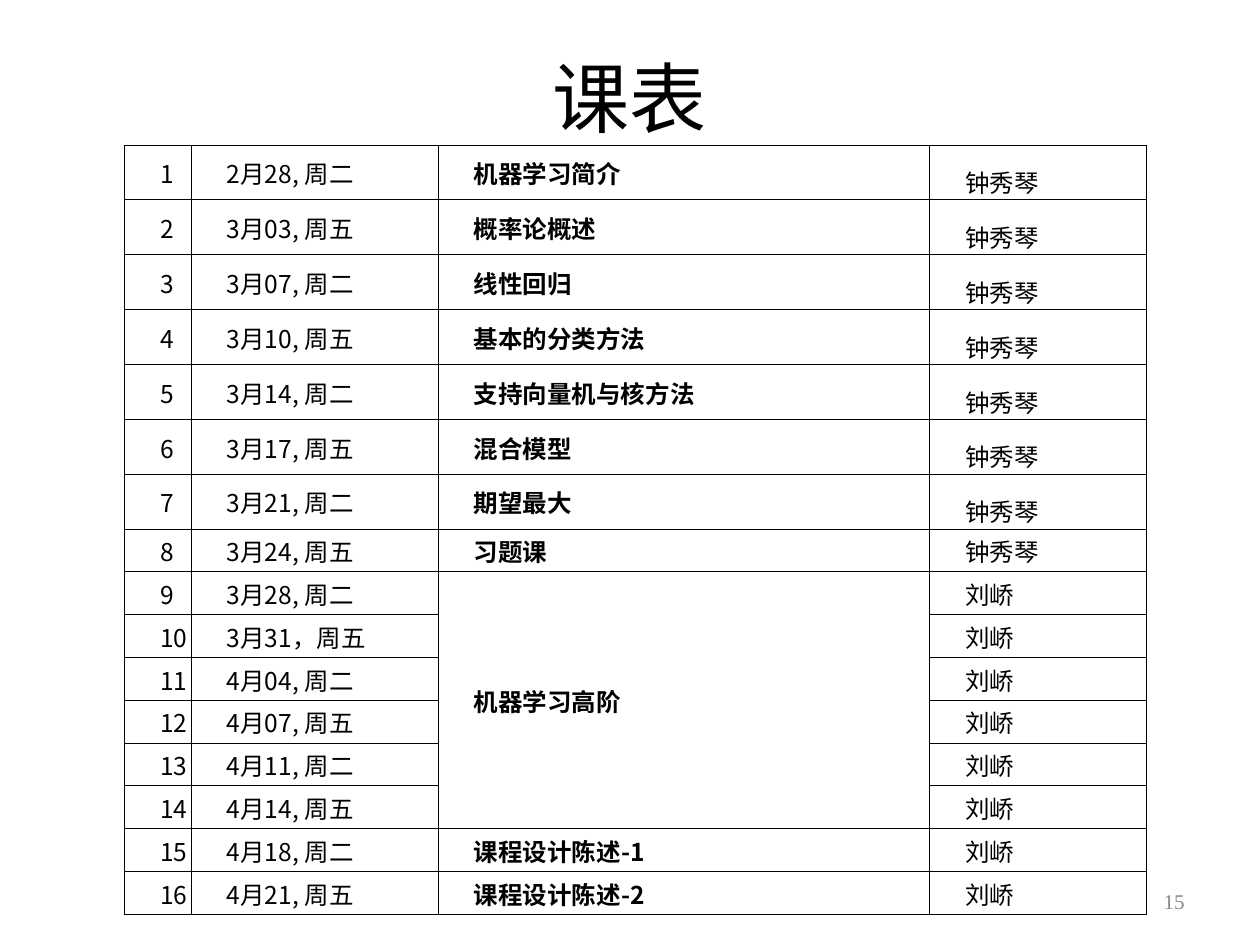
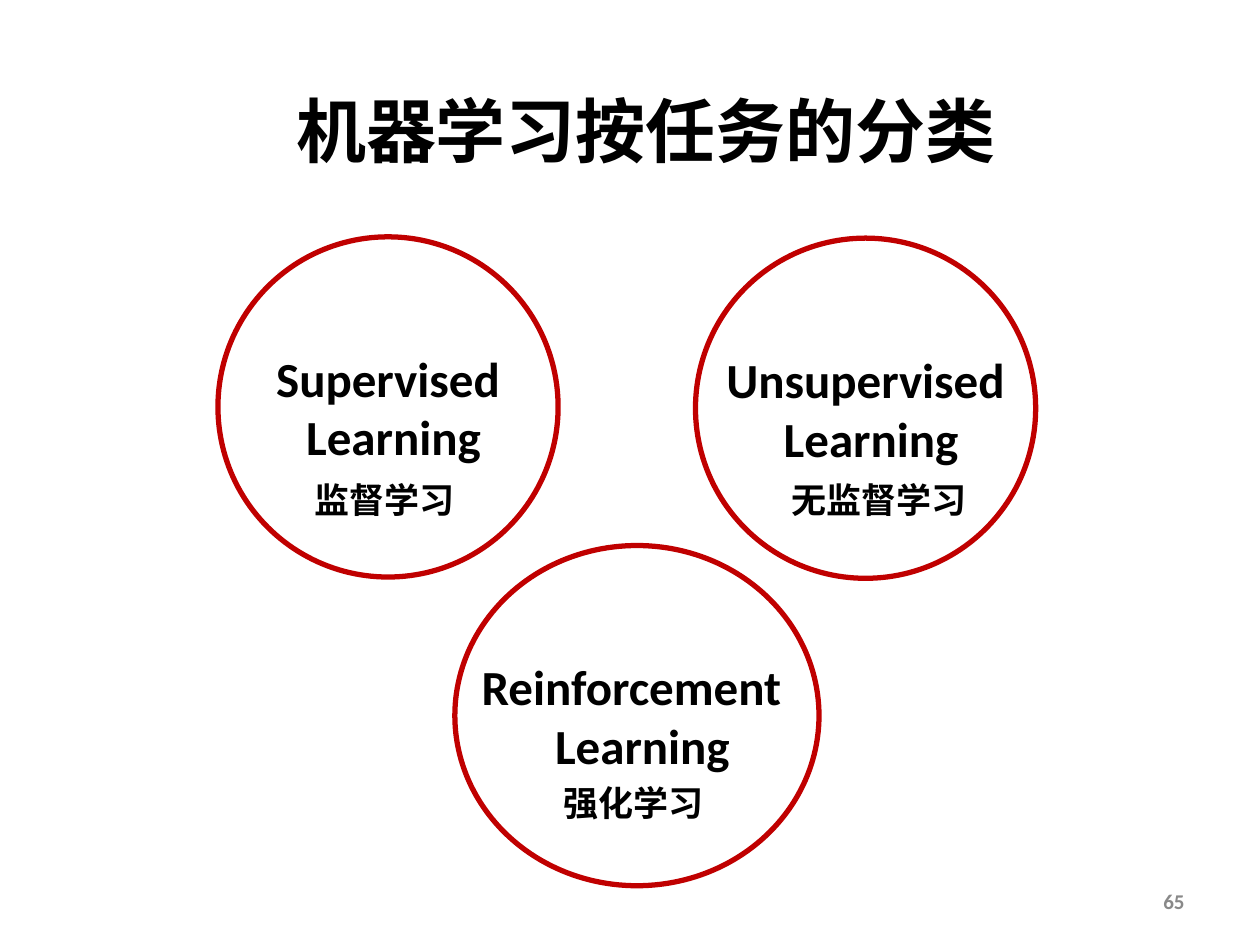
import pptx
import pptx.util
import pptx.dml.color
import pptx.enum.shapes
import pptx.enum.text
import pptx.oxml
import pptx.oxml.ns

Inches = pptx.util.Inches
Pt = pptx.util.Pt
ALIGN = pptx.enum.text.PP_ALIGN
MIDDLE = pptx.enum.text.MSO_ANCHOR.MIDDLE
COLOURS = {"text": "000000", "number": "898989", "ring": "C00000", "grid": "000000"}
CJK = "Noto Sans CJK SC"

SCHEDULE = [
    ("2月28, 周二", "机器学习简介"),
    ("3月03, 周五", "概率论概述"),
    ("3月07, 周二", "线性回归"),
    ("3月10, 周五", "基本的分类方法"),
    ("3月14, 周二", "支持向量机与核方法"),
    ("3月17, 周五", "混合模型"),
    ("3月21, 周二", "期望最大"),
    ("3月24, 周五", "习题课"),
    ("3月28, 周二", "机器学习高阶"),
    ("3月31，周五", None),
    ("4月04, 周二", None),
    ("4月07, 周五", None),
    ("4月11, 周二", None),
    ("4月14, 周五", None),
    ("4月18, 周二", "课程设计陈述-1"),
    ("4月21, 周五", "课程设计陈述-2"),
]
FIRST_LECTURER_CLASSES = 8
ADVANCED_ROWS = (8, 13)
TALL_ROWS = 7
TALL_ROW_HEIGHT = 3.05 / TALL_ROWS
ROW_HEIGHT = 0.34

TASKS = [
    ("Supervised\n Learning", (1.73, 1.88, 2.7, 2.7), "监督学习", (2.4, 3.75, 1.34, 0.44)),
    ("Unsupervised\n Learning", (5.52, 1.89, 2.7, 2.7), "无监督学习", (6.18, 3.75, 1.65, 0.44)),
    ("Reinforcement \n Learning", (3.61, 4.33, 2.89, 2.7), "强化学习", (4.37, 6.15, 1.42, 0.44)),
]


def rgb(name):
    return pptx.dml.color.RGBColor.from_string(COLOURS[name])


def write(frame, text, size=14, font="Calibri", bold=False, colour="text",
          align=ALIGN.LEFT, spacing=None):
    for index, line in enumerate(text.split("\n")):
        paragraph = frame.paragraphs[0] if index == 0 else frame.add_paragraph()
        paragraph.alignment = align
        if spacing:
            paragraph.line_spacing = spacing
        run = paragraph.add_run()
        run.text = line
        run.font.size = Pt(size)
        run.font.bold = bold
        run.font.color.rgb = rgb(colour)
        run.font.name = font
        run.font._element.append(pptx.oxml.parse_xml(
            f'<a:ea {pptx.oxml.ns.nsdecls("a")} typeface="{CJK}"/>'))


class Deck:
    def __init__(self):
        self.presentation = pptx.Presentation()
        self.presentation.slide_width = Inches(10)
        self.presentation.slide_height = Inches(7.5)
        self.slide = None

    def new_slide(self, title, box, size, number, number_font, bold=False):
        self.slide = self.presentation.slides.add_slide(self.presentation.slide_layouts[5])
        heading = self.slide.shapes.title
        heading.left, heading.top, heading.width, heading.height = map(Inches, box)
        heading.text_frame.vertical_anchor = MIDDLE
        write(heading.text_frame, title, size=size, bold=bold, align=ALIGN.CENTER)
        self.label(number, (7.17, 6.95, 2.33, 0.4), anchor=MIDDLE, size=12,
                   font=number_font, bold=bold, colour="number", align=ALIGN.RIGHT)

    def label(self, text, box, anchor=pptx.enum.text.MSO_ANCHOR.TOP, **style):
        frame = self.slide.shapes.add_textbox(*map(Inches, box)).text_frame
        frame.word_wrap = True
        frame.vertical_anchor = anchor
        write(frame, text, **style)

    def ring(self, text, box):
        circle = self.slide.shapes.add_shape(
            pptx.enum.shapes.MSO_SHAPE.OVAL, *map(Inches, box))
        circle.shadow.inherit = False
        circle.fill.background()
        circle.line.color.rgb = rgb("ring")
        circle.line.width = Pt(3)
        circle.text_frame.word_wrap = False
        circle.text_frame.vertical_anchor = MIDDLE
        write(circle.text_frame, text, size=28, bold=True, align=ALIGN.CENTER)

    def table(self, rows, left, top, widths, heights):
        grid = self.slide.shapes.add_table(
            len(rows), len(widths), Inches(left), Inches(top),
            Inches(sum(widths)), Inches(sum(heights))).table
        grid.first_row = grid.horz_banding = False
        for column, width in zip(grid.columns, widths):
            column.width = Inches(width)
        for row_index, row in enumerate(rows):
            grid.rows[row_index].height = Inches(heights[row_index])
            for column_index, (text, style) in enumerate(row):
                self.cell(grid.cell(row_index, column_index), text, style)
        return grid

    def cell(self, cell, text, style):
        cell.margin_left = Inches(0.28)
        cell.margin_top = cell.margin_right = Inches(0.01)
        cell.margin_bottom = 0
        cell.vertical_anchor = MIDDLE
        cell.fill.background()
        properties = cell._tc.get_or_add_tcPr()
        for index, side in enumerate("LRTB"):
            properties.insert(index, pptx.oxml.parse_xml(
                f'<a:ln{side} {pptx.oxml.ns.nsdecls("a")} w="{Pt(0.5)}"><a:solidFill>'
                f'<a:srgbClr val="{COLOURS["grid"]}"/></a:solidFill></a:ln{side}>'))
        if text:
            write(cell.text_frame, text, font=CJK, **style)


def build_schedule(deck):
    deck.new_slide("课表", (0.5, 0.14, 9, 1.25), 44, "15", "Times New Roman")
    rows = []
    for index, (date, topic) in enumerate(SCHEDULE):
        lecturer = "钟秀琴" if index < FIRST_LECTURER_CLASSES else "刘峤"
        spacing = 1.5 if index < TALL_ROWS else None
        rows.append([(str(index + 1), {}), (date, {}), (topic, {"bold": True}),
                     (lecturer, {"spacing": spacing})])
    heights = [TALL_ROW_HEIGHT] * TALL_ROWS + [ROW_HEIGHT] * (len(rows) - TALL_ROWS)
    grid = deck.table(rows, 0.99, 1.15, (0.53, 1.96, 3.9, 1.72), heights)
    first, last = ADVANCED_ROWS
    grid.cell(first, 2).merge(grid.cell(last, 2))


def build_tasks(deck):
    deck.new_slide("机器学习按任务的分类", (0.44, 0.24, 9.37, 1.58), 40, "65", "Calibri", bold=True)
    for english, circle_box, _, _ in TASKS:
        deck.ring(english, circle_box)
    for _, _, chinese, label_box in TASKS:
        deck.label(chinese, label_box, size=20, font="Times New Roman", bold=True)


def main():
    deck = Deck()
    build_schedule(deck)
    build_tasks(deck)
    deck.presentation.save("out.pptx")


if __name__ == "__main__":
    main()
